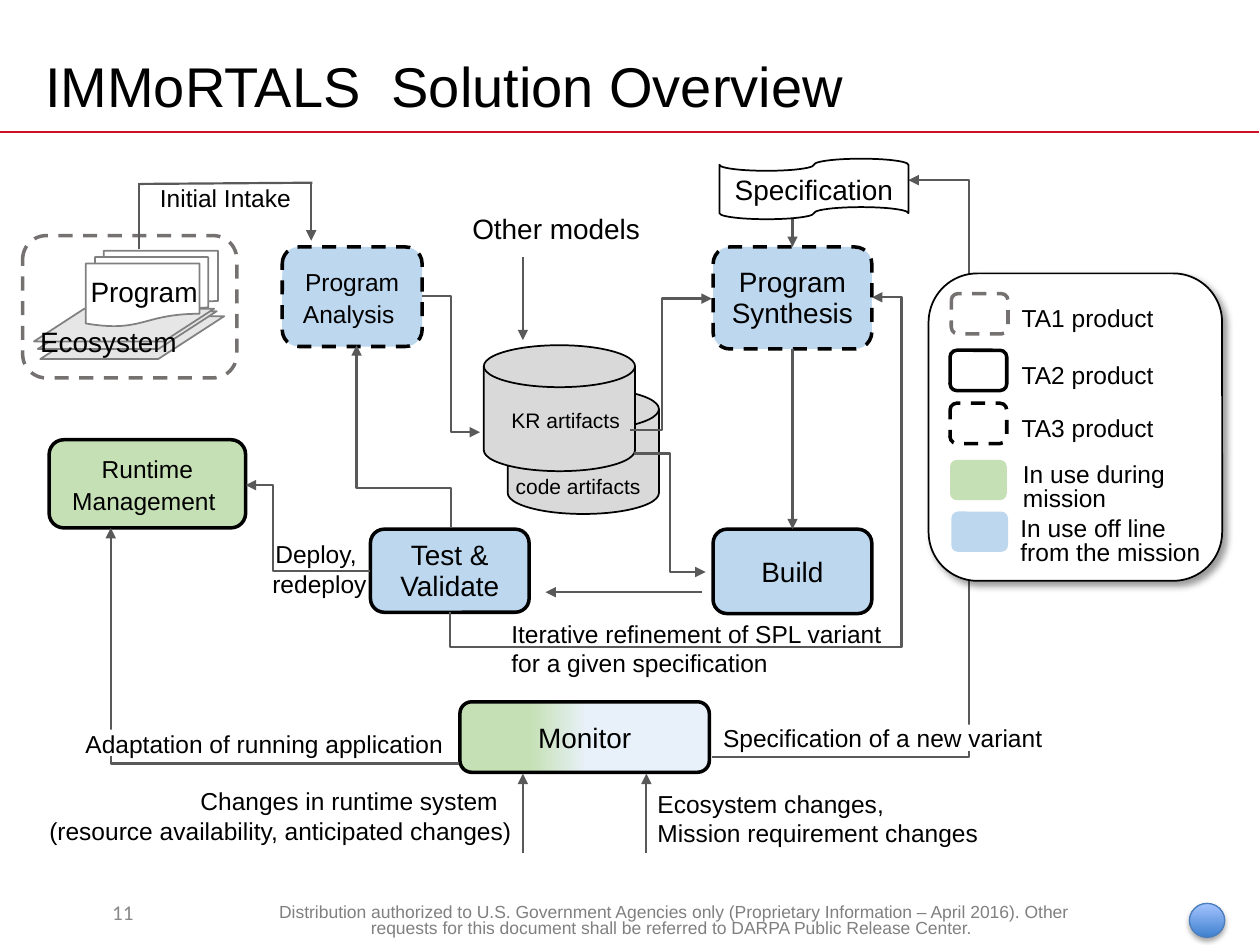
from lxml.etree import SubElement
from pptx import Presentation
from pptx.dml.color import RGBColor
from pptx.enum.dml import MSO_LINE
from pptx.enum.shapes import MSO_CONNECTOR, MSO_SHAPE
from pptx.enum.text import MSO_ANCHOR, PP_ALIGN
from pptx.oxml.ns import qn
from pptx.util import Inches, Pt

BLACK = RGBColor(0x00, 0x00, 0x00)
WHITE = RGBColor(0xFF, 0xFF, 0xFF)
RED = RGBColor(0xCE, 0x11, 0x26)
BLUE = RGBColor(0xBD, 0xD7, 0xEE)
GREEN = RGBColor(0xC5, 0xE0, 0xB4)
PALE_BLUE = RGBColor(0xE8, 0xF1, 0xF9)
DISK_GRAY = RGBColor(0xD9, 0xD9, 0xD9)
SHEET_GRAY = RGBColor(0xE7, 0xE6, 0xE6)
MID_GRAY = RGBColor(0x80, 0x80, 0x80)
TA1_GRAY = RGBColor(0x76, 0x71, 0x71)
ARROW_GRAY = RGBColor(0x59, 0x59, 0x59)
NUMBER_GRAY = RGBColor(0x89, 0x89, 0x89)
BALL_DARK = RGBColor(0x3F, 0x80, 0xCE)
BALL_LIGHT = RGBColor(0xA4, 0xC4, 0xFF)
BALL_EDGE = RGBColor(0x4B, 0x7E, 0xBC)

LEFT, CENTER, RIGHT = PP_ALIGN.LEFT, PP_ALIGN.CENTER, PP_ALIGN.RIGHT
ROUND = MSO_SHAPE.ROUNDED_RECTANGLE
DISK = MSO_SHAPE.FLOWCHART_MAGNETIC_DISK
MONITOR_FADE = ((0.28, GREEN), (0.51, PALE_BLUE), 0)
BALL_FADE = ((0, BALL_DARK), (1, BALL_LIGHT), 90)

DISKS = [(4.03, 3.08, 1.2, 1), (3.84, 2.74, 1.2, 1)]
ECOSYSTEM_SHEETS = [(0.32, 2.51, 1.46, 0.34), (0.3, 2.47, 1.42, 0.3), (0.27, 2.45, 1.43, 0.26)]
STEPS = [
    ("Program Analysis ", (2.24, 1.96, 1.11, 0.79), BLUE, True, 14),
    ("Program Synthesis", (5.66, 1.96, 1.26, 0.81), BLUE, True, 16),
    ("Build", (5.66, 4.2, 1.26, 0.67), BLUE, False, 16),
    ("Test & Validate", (2.94, 4.2, 1.26, 0.66), BLUE, False, 16),
    ("Runtime Management ", (0.39, 3.49, 1.56, 0.7), GREEN, False, 14),
    ("Monitor", (3.65, 5.57, 1.98, 0.56), MONITOR_FADE, False, 16),
]
ELBOWS = [
    ((3.35, 2.35), (3.81, 3.43), 0, [0.5], "tailEnd"),
    ((5.65, 2.37), (5, 3.41), 0, [0.61], "headEnd"),
    ((2.94, 4.53), (1.95, 3.85), 0, [0.78], "tailEnd"),
    ((3.64, 6.06), (0.88, 4.19), 0, [1], "tailEnd"),
    ((5.65, 6.01), (7.21, 1.43), 0, [1.31], "tailEnd"),
    ((3.57, 4.86), (6.92, 2.36), 1, [-0.11, 1.07], "tailEnd"),
    ((3.58, 4.19), (2.83, 2.74), 3, [0.22], "tailEnd"),
    ((5.03, 3.6), (5.6, 4.54), 0, [0.5], "tailEnd"),
]
STRAIGHTS = [
    ((6.29, 2.77), (6.29, 4.2), "tailEnd"),
    ((5.57, 4.7), (4.33, 4.7), "tailEnd"),
    ((6.29, 1.64), (6.29, 1.96), "tailEnd"),
    ((4.15, 6.77), (4.15, 6.14), "tailEnd"),
    ((5.13, 6.77), (5.13, 6.14), "tailEnd"),
    ((4.15, 2.04), (4.15, 2.7), "tailEnd"),
    ((1.1, 1.98), (1.1, 1.45), None),
    ((2.48, 1.45), (1.11, 1.46), None),
    ((2.47, 1.91), (2.47, 1.46), "headEnd"),
]
LEGEND = [
    ("TA1 product", (7.55, 2.33), (7.99, 2.34), None, TA1_GRAY, True),
    ("TA2 product", (7.54, 2.78), (7.99, 2.79), None, BLACK, False),
    ("TA3 product", (7.54, 3.2), (7.99, 3.21), None, BLACK, True),
    ("In use during mission", (7.54, 3.65), (8, 3.61), GREEN, None, False),
    ("In use off line from the mission", (7.55, 4.06), (7.98, 4.04), BLUE, None, False),
]
LINE_MASKS = [(7.6, 5.75, 0.19, 0.21), (0.78, 5.79, 0.19, 0.21)]
LABELS = [
    (["Program"], (0.62, 2.13, 1.08, 0.37), 16, LEFT, 1),
    (["Ecosystem"], (0.22, 2.53, 1.3, 0.37), 16, LEFT, 1),
    (["Other models"], (3.65, 1.63, 1.59, 0.37), 16, LEFT, 1),
    (["Initial Intake"], (1.11, 1.4, 1.36, 0.33), 14, CENTER, 1),
    (["Iterative refinement of SPL variant for a given specification"],
     (3.96, 4.86, 3.18, 0.58), 14, LEFT, 1),
    (["Ecosystem changes,", "Mission requirement changes"], (5.12, 6.21, 3.06, 0.58), 14, LEFT, 1),
    (["Changes in runtime system  ", "(resource availability, anticipated changes)"],
     (0.19, 6.19, 3.97, 0.58), 14, RIGHT, 1),
    (["Deploy, ", "redeploy"], (2.04, 4.23, 0.99, 0.58), 14, CENTER, 1),
    (["Specification of a new variant"], (5.64, 5.69, 2.89, 0.33), 14, LEFT, 1),
    (["Adaptation of running application"], (0.58, 5.74, 3.16, 0.33), 14, LEFT, 1),
    (["KR artifacts"], (3.93, 3.22, 1.12, 0.26), 12, CENTER, 0.8),
    ([" code artifacts"], (3.87, 3.75, 1.39, 0.26), 12, CENTER, 0.8),
]
FOOTER = ("Distribution authorized to U.S. Government Agencies only (Proprietary Information – "
          "April 2016). Other requests for this document shall be referred to DARPA Public "
          "Release Center. ")

deck = Presentation()
deck.slide_width, deck.slide_height = Inches(10), Inches(7.5)
slide = deck.slides.add_slide(deck.slide_layouts[6])
shapes = slide.shapes


def apply(target, values):
    for name, value in values.items():
        setattr(target, name, value)


def write(holder, lines, size, align=LEFT, spacing=1, anchor=MSO_ANCHOR.TOP, color=BLACK, font="Arial"):
    frame = holder.text_frame
    apply(frame, {"text": "\n".join(lines), "word_wrap": True, "vertical_anchor": anchor})
    for paragraph in frame.paragraphs:
        apply(paragraph, {"alignment": align, "line_spacing": spacing})
        apply(paragraph.font, {"name": font, "size": Pt(size)})
        paragraph.font.color.rgb = color


def label(lines, box, size, align=LEFT, spacing=1, **style):
    write(shapes.add_textbox(*map(Inches, box)), lines, size, align, spacing, **style)


def block(kind, box, fill=None, edge=None, width=1, dashed=False):
    shape = shapes.add_shape(kind, *map(Inches, box))
    shape.shadow.inherit = False
    if fill is None:
        shape.fill.background()
    elif isinstance(fill, RGBColor):
        shape.fill.solid()
        shape.fill.fore_color.rgb = fill
    else:
        *stops, angle = fill
        shape.fill.gradient()
        shape.fill.gradient_angle = angle
        for stop, (position, color) in zip(shape.fill.gradient_stops, stops):
            stop.position = position
            stop.color.rgb = color
    if edge is None:
        shape.line.fill.background()
    else:
        shape.line.color.rgb = edge
        shape.line.width = Pt(width)
        if dashed:
            shape.line.dash_style = MSO_LINE.DASH
    return shape


def cast_shadow(shape, blur, distance, angle, alpha):
    effects = shape._element.spPr.find(qn("a:effectLst"))
    shadow = SubElement(effects, qn("a:outerShdw"), blurRad=str(Pt(blur)), dist=str(Pt(distance)),
                        dir=str(angle * 60000), algn="ctr", rotWithShape="0")
    color = SubElement(shadow, qn("a:srgbClr"), val=str(BLACK))
    SubElement(color, qn("a:alpha"), val=str(alpha * 1000))


def connect(start, end, arrow=None, kind=MSO_CONNECTOR.STRAIGHT, color=ARROW_GRAY, width=1.25):
    connector = shapes.add_connector(kind, *map(Inches, (*start, *end)))
    connector.line.color.rgb = color
    connector.line.width = Pt(width)
    if arrow:
        SubElement(connector.line._get_or_add_ln(), qn(f"a:{arrow}"), type="triangle", w="med", len="med")
    SubElement(connector._element.spPr, qn("a:effectLst"))
    return connector


def elbow(start, end, turns, bends, arrow):
    center = [(a + b) / 2 for a, b in zip(start, end)]

    def unturn(point):
        x, y = point[0] - center[0], point[1] - center[1]
        for _ in range(turns):
            x, y = y, -x
        return center[0] + x, center[1] + y

    connector = connect(unturn(start), unturn(end), arrow, MSO_CONNECTOR.ELBOW)
    properties = connector._element.spPr
    if turns:
        properties.find(qn("a:xfrm")).set("rot", str(turns * 5400000))
    geometry = properties.find(qn("a:prstGeom"))
    geometry.set("prst", f"bentConnector{len(bends) + 2}")
    guides = geometry.find(qn("a:avLst"))
    if guides is None:
        guides = SubElement(geometry, qn("a:avLst"))
    for number, bend in enumerate(bends, 1):
        SubElement(guides, qn("a:gd"), name=f"adj{number}", fmla=f"val {round(bend * 100000)}")


connect((0, 1.05), (9.99, 1.05), color=RED, width=1)
label([FOOTER], (2.11, 7.13, 6.47, 0.31), 10, CENTER, 0.8, color=MID_GRAY)
label(["IMMoRTALS  Solution Overview"], (0.26, 0.3, 9, 0.75), 32, anchor=MSO_ANCHOR.MIDDLE)
label(["11"], (0.28, 7.04, 1.39, 0.4), 12, CENTER, anchor=MSO_ANCHOR.MIDDLE, color=NUMBER_GRAY, font="Calibri")

for box in DISKS:
    block(DISK, box, DISK_GRAY, BLACK)
for box in ECOSYSTEM_SHEETS:
    block(MSO_SHAPE.PARALLELOGRAM, box, SHEET_GRAY, MID_GRAY).adjustments[0] = 1.54
block(MSO_SHAPE.FLOWCHART_MULTIDOCUMENT, (0.68, 1.99, 1.05, 0.6), WHITE, MID_GRAY)
block(ROUND, (0.18, 1.87, 1.7, 1.13), None, TA1_GRAY, 2, True)
for name, box, fill, dashed, size in STEPS:
    spacing = Pt(18) if " " in name else 1
    write(block(ROUND, box, fill, BLACK, 2, dashed), [name], size, CENTER, spacing, MSO_ANCHOR.MIDDLE)

for route in ELBOWS:
    elbow(*route)
for route in STRAIGHTS:
    connect(*route)
specification = block(MSO_SHAPE.FLOWCHART_PUNCHED_TAPE, (5.71, 1.26, 1.5, 0.48), WHITE, BLACK)
write(specification, ["Specification"], 16, CENTER, anchor=MSO_ANCHOR.MIDDLE)

cast_shadow(block(ROUND, (7.37, 2.17, 2.33, 2.44), WHITE, BLACK), 4, 3, 45, 40)
for meaning, swatch, (x, y), fill, edge, dashed in LEGEND:
    block(ROUND, (*swatch, 0.45, 0.32), fill, edge, 2, dashed)
    label([meaning], (x + 0.02, y + 0.02, 1.72, 0.37), 14, spacing=Pt(14) if fill else 1)
for box in LINE_MASKS:
    block(MSO_SHAPE.RECTANGLE, box, WHITE)
for entry in LABELS:
    label(*entry)
cast_shadow(block(MSO_SHAPE.OVAL, (9.44, 7.17, 0.28, 0.27), BALL_FADE, BALL_EDGE, 0.75), 3.1, 1.8, 90, 35)

deck.save("out.pptx")
